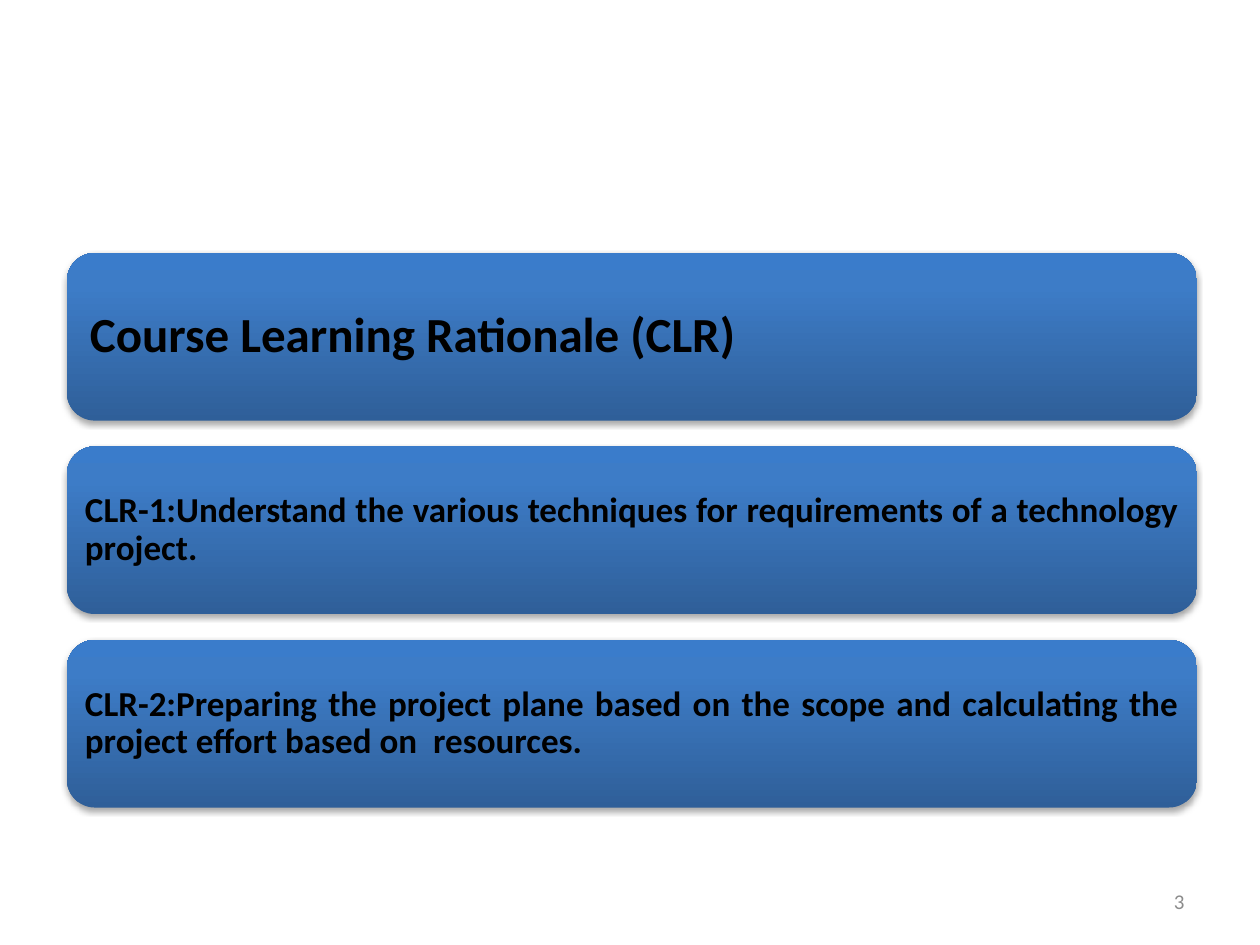
from copy import deepcopy
from pptx import Presentation
from pptx.dml.color import RGBColor as RGB
from pptx.enum.shapes import MSO_SHAPE as Shape
from pptx.enum.text import MSO_ANCHOR as Anchor, PP_ALIGN as Align
from pptx.oxml import parse_xml
from pptx.oxml.ns import nsdecls, qn
from pptx.util import Cm, Pt

CARDS = [
    ("head", "Course Learning Rationale (CLR)"),
    ("item", "CLR-1:Understand the various techniques for requirements of a technology project."),
    ("item", "CLR-2:Preparing the project plane based on the scope and calculating the "
             "project effort based on  resources."),
]
PAGE = "3"

THEME = {
    "font": "Calibri",
    "ink": "000000",
    "grey": "8C8C8C",
    "grad": [(0, "2F5F99"), (0.8, "3D7CC7"), (1, "3A7CCB")],
    "head": {"size": 28, "inset": 0.3, "align": Align.LEFT},
    "item": {"size": 20, "inset": 0.2, "align": Align.JUSTIFY},
    "page": 12,
}

LEFT, TOP, WIDE, HIGH, GAP = 1.35, 5.1, 22.78, 3.38, 0.52


def write(frame, text, size, color, align, bold=False):
    frame.word_wrap = True
    frame.vertical_anchor = Anchor.MIDDLE
    par = frame.paragraphs[0]
    par.alignment = align
    run = par.add_run()
    run.text = text
    font = run.font
    font.name, font.size, font.bold = THEME["font"], Pt(size), bold
    font.color.rgb = RGB.from_string(color)
    return par


def shade(card):
    fill = card.fill
    fill.gradient()
    fill.gradient_angle = 90
    props = card.element.spPr
    stops = props.find(".//" + qn("a:gsLst"))
    stops.append(deepcopy(stops[0]))
    for stop, (pos, color) in zip(fill.gradient_stops, THEME["grad"]):
        stop.position = pos
        stop.color.rgb = RGB.from_string(color)
    card.line.fill.background()
    card.shadow.inherit = False
    props.find(qn("a:effectLst")).append(parse_xml(
        f'<a:outerShdw {nsdecls("a")} blurRad="{Pt(3.1)}" dist="{Pt(1.8)}" '
        'dir="5400000" rotWithShape="0"><a:srgbClr val="000000">'
        '<a:alpha val="35000"/></a:srgbClr></a:outerShdw>'))


def add_card(slide, row, kind, text):
    top = TOP + row * (HIGH + GAP)
    card = slide.shapes.add_shape(
        Shape.ROUNDED_RECTANGLE, Cm(LEFT), Cm(top), Cm(WIDE), Cm(HIGH))
    shade(card)
    look = THEME[kind]
    frame = card.text_frame
    frame.margin_left = frame.margin_right = Cm(look["inset"])
    frame.margin_top = frame.margin_bottom = Cm(look["inset"])
    par = write(frame, text, look["size"], THEME["ink"], look["align"], True)
    par.line_spacing = 0.9


def main():
    deck = Presentation()
    deck.slide_width, deck.slide_height = Cm(25.4), Cm(19.05)
    slide = deck.slides.add_slide(deck.slide_layouts[6])
    for row, (kind, text) in enumerate(CARDS):
        add_card(slide, row, kind, text)
    wide = 5.92
    page = slide.shapes.add_textbox(
        Cm(LEFT + WIDE - wide), Cm(17.65), Cm(wide), Cm(1.02))
    write(page.text_frame, PAGE, THEME["page"], THEME["grey"], Align.RIGHT)
    deck.save("out.pptx")


if __name__ == "__main__":
    main()
